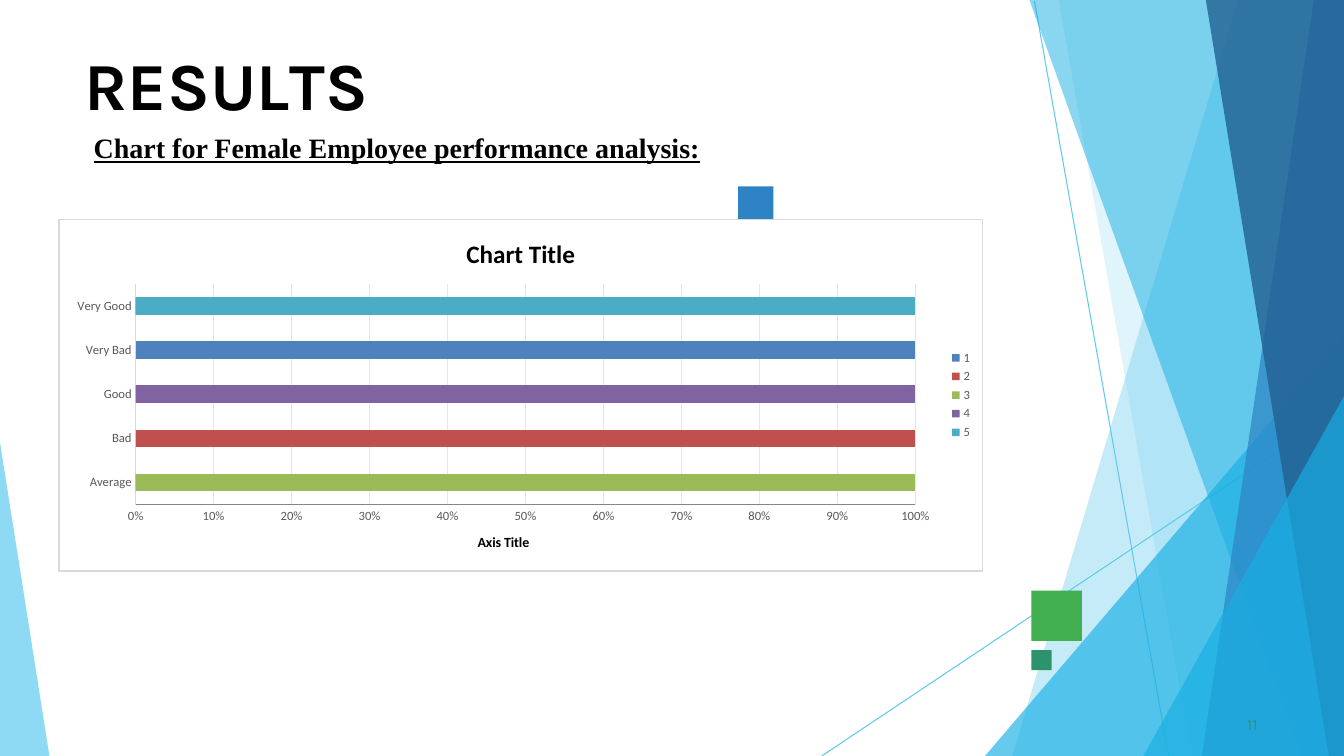
from dataclasses import dataclass

from lxml.etree import SubElement
from pptx import Presentation
from pptx.chart.data import CategoryChartData
from pptx.dml.color import RGBColor
from pptx.enum.chart import XL_CHART_TYPE, XL_LEGEND_POSITION, XL_TICK_MARK
from pptx.enum.shapes import MSO_CONNECTOR, MSO_SHAPE
from pptx.enum.text import MSO_AUTO_SIZE
from pptx.oxml import parse_xml
from pptx.oxml.ns import nsdecls, qn
from pptx.util import Inches, Pt

WIDTH, HEIGHT = 13.33, 7.5


@dataclass(frozen=True)
class Theme:
    black: str = "000000"
    white: str = "FFFFFF"
    sky: str = "5FCAEE"
    cyan: str = "17AFE3"
    blue: str = "2D83C3"
    navy: str = "226192"
    green: str = "42AF51"
    teal: str = "2D936B"
    label: str = "595959"
    axis: str = "868686"
    border: str = "D9D9D9"
    grid: str = "E6E6E6"
    series: tuple = ("4F81BD", "C0504D", "9BBB59", "8064A2", "4BACC6")
    heading_font: str = "Karla"
    subtitle_font: str = "Times New Roman"
    chart_font: str = "Calibri"
    heading_size: float = 48
    subtitle_size: float = 20
    number_size: float = 11
    chart_title_size: float = 18
    axis_title_size: float = 10
    label_size: float = 9
    hairline: float = 0.75


def format_font(font, name, size, color, bold=False, underline=False):
    font.name, font.size = name, Pt(size)
    font.bold, font.underline = bold, underline
    font.color.rgb = RGBColor.from_string(color)


def add_text(para, text, spacing=0, **font_format):
    span = para.add_run()
    span.text = text
    format_font(span.font, **font_format)
    if spacing:
        span._r.get_or_add_rPr().set("spc", str(round(spacing * 100)))


class SlideBuilder:
    def __init__(self, page, theme):
        self.page, self.theme = page, theme

    def paint(self, shape, color, opacity=100):
        shape.shadow.inherit = False
        shape.fill.solid()
        shape.fill.fore_color.rgb = RGBColor.from_string(color)
        shape.line.fill.background()
        if opacity < 100:
            tint = shape._element.spPr.find(".//" + qn("a:srgbClr"))
            SubElement(tint, qn("a:alpha")).set("val", str(opacity * 1000))

    def set_line(self, line, color):
        line.color.rgb = RGBColor.from_string(color)
        line.width = Pt(self.theme.hairline)

    def line(self, x1, y1, x2, y2, color):
        link = self.page.shapes.add_connector(
            MSO_CONNECTOR.STRAIGHT, *map(Inches, (x1, y1, x2, y2)))
        self.set_line(link.line, color)
        SubElement(link._element.spPr, qn("a:effectLst"))

    def polygon(self, points, color, opacity):
        start, *rest = [(Inches(x), Inches(y)) for x, y in points]
        outline = self.page.shapes.build_freeform(*start)
        outline.add_line_segments(rest, close=True)
        self.paint(outline.convert_to_shape(), color, opacity)

    def square(self, left, top, side, color):
        box = self.page.shapes.add_shape(
            MSO_SHAPE.RECTANGLE, *map(Inches, (left, top, side, side)))
        self.paint(box, color)

    def text_box(self, place, runs, margins=None, space_before=0, **font_format):
        box = self.page.shapes.add_textbox(*map(Inches, place))
        frame = box.text_frame
        frame.word_wrap = True
        frame.auto_size = MSO_AUTO_SIZE.SHAPE_TO_FIT_TEXT
        if margins:
            (frame.margin_left, frame.margin_top,
             frame.margin_right, frame.margin_bottom) = map(Inches, margins)
        para = frame.paragraphs[0]
        para.space_before = Pt(space_before)
        for text, spacing in runs:
            add_text(para, text, spacing, **font_format)

    def chart_title(self, owner, text, size):
        para = owner.text_frame.paragraphs[0]
        add_text(para, text, name=self.theme.chart_font, size=size,
                 color=self.theme.black, bold=True)

    def bar_chart(self, place, title, axis_title, categories, series):
        theme = self.theme
        data = CategoryChartData()
        data.categories = categories
        for name, values in series:
            data.add_series(name, values)
        chart = self.page.shapes.add_chart(
            XL_CHART_TYPE.BAR_STACKED_100, *map(Inches, place), data).chart
        format_font(chart.font, theme.chart_font, theme.axis_title_size, theme.black)

        # Bars
        plot = chart.plots[0]
        plot.gap_width, plot.overlap = 150, 100
        plot.vary_by_categories = False
        for bars, color in zip(plot.series, theme.series):
            bars.format.fill.solid()
            bars.format.fill.fore_color.rgb = RGBColor.from_string(color)

        # Axes and legend
        chart.has_legend = True
        chart.legend.position = XL_LEGEND_POSITION.RIGHT
        chart.legend.include_in_layout = False
        scale = chart.value_axis
        scale.has_major_gridlines = True
        self.set_line(scale.major_gridlines.format.line, theme.grid)
        scale.tick_labels.number_format = "0%"
        scale.tick_labels.number_format_is_linked = False
        for axis, color in ((chart.category_axis, theme.border), (scale, theme.axis)):
            axis.major_tick_mark = axis.minor_tick_mark = XL_TICK_MARK.NONE
            self.set_line(axis.format.line, color)
        for font in (chart.category_axis.tick_labels.font,
                     scale.tick_labels.font, chart.legend.font):
            format_font(font, theme.chart_font, theme.label_size, theme.label)

        # Titles and frame
        chart.has_title = True
        self.chart_title(chart.chart_title, title, theme.chart_title_size)
        self.chart_title(scale.axis_title, axis_title, theme.axis_title_size)
        chart.element.find(qn("c:chart")).addnext(parse_xml(
            f'<c:spPr {nsdecls("c", "a")}>'
            f'<a:solidFill><a:srgbClr val="{theme.white}"/></a:solidFill>'
            f'<a:ln w="{Pt(theme.hairline)}"><a:solidFill>'
            f'<a:srgbClr val="{theme.border}"/></a:solidFill></a:ln></c:spPr>'))


def main():
    deck = Presentation()
    deck.slide_width, deck.slide_height = Inches(WIDTH), Inches(HEIGHT)
    theme = Theme()
    slide = SlideBuilder(deck.slides.add_slide(deck.slide_layouts[6]), theme)

    # Background lines and facets; each facet reaches the right edge
    slide.line(10.26, 0.01, 11.59, HEIGHT, theme.sky)
    slide.line(WIDTH, 4.04, 8.15, HEIGHT, theme.sky)
    facets = [
        ([(12.28, 0), (10.04, HEIGHT)], 0, theme.sky, 36),
        ([(10.5, 0), (11.82, HEIGHT)], 0, theme.sky, 20),
        ([(9.77, HEIGHT)], 3.33, theme.cyan, 66),
        ([(10.21, 0), (12.91, HEIGHT)], 0, theme.cyan, 50),
        ([(13.03, 0), (11.92, HEIGHT)], 0, theme.blue, 70),
        ([(11.96, 0), (13.18, HEIGHT)], 0, theme.navy, 80),
        ([(11.34, HEIGHT)], 3.93, theme.cyan, 66),
    ]
    for edge, top, color, opacity in facets:
        slide.polygon([(WIDTH, top), *edge, (WIDTH, HEIGHT)], color, opacity)
    slide.polygon([(0, 4.39), (0, HEIGHT), (0.49, HEIGHT)], theme.sky, 70)

    # Accent squares
    slide.square(10.23, 5.86, 0.5, theme.green)
    slide.square(7.32, 1.85, 0.35, theme.blue)
    slide.square(10.23, 6.45, 0.2, theme.teal)

    # Heading, page number and subtitle
    letters = [("R", 0), ("E", -0.4), ("S", 0.1), ("U", -0.3), ("L", -4), ("TS", 0)]
    slide.text_box((0.83, 0.42, 11.68, 0.83), letters, (0.01, 0.01, 0, 0), 1.1,
                   name=theme.heading_font, size=theme.heading_size,
                   color=theme.black, bold=True)
    slide.text_box((12.33, 7.08, 0.25, 0.21), [("11", 0.1)], (0.04, 0.01, 0, 0), 0.6,
                   name=theme.heading_font, size=theme.number_size, color=theme.teal)
    slide.text_box((0.83, 1.25, 6.5, 0.44),
                   [("Chart for Female Employee performance analysis:", 0)],
                   name=theme.subtitle_font, size=theme.subtitle_size,
                   color=theme.black, bold=True, underline=True)

    # Performance chart: each rating belongs to one series
    ratings = ["Average", "Bad", "Good", "Very Bad", "Very Good"]
    rating_order = ["Very Bad", "Bad", "Average", "Good", "Very Good"]
    series = [(str(rank), [100 if rating == own else 0 for rating in ratings])
              for rank, own in enumerate(rating_order, 1)]
    slide.bar_chart((0.58, 2.17, 9.17, 3.5), "Chart Title", "Axis Title", ratings, series)

    deck.save("out.pptx")


if __name__ == "__main__":
    main()
